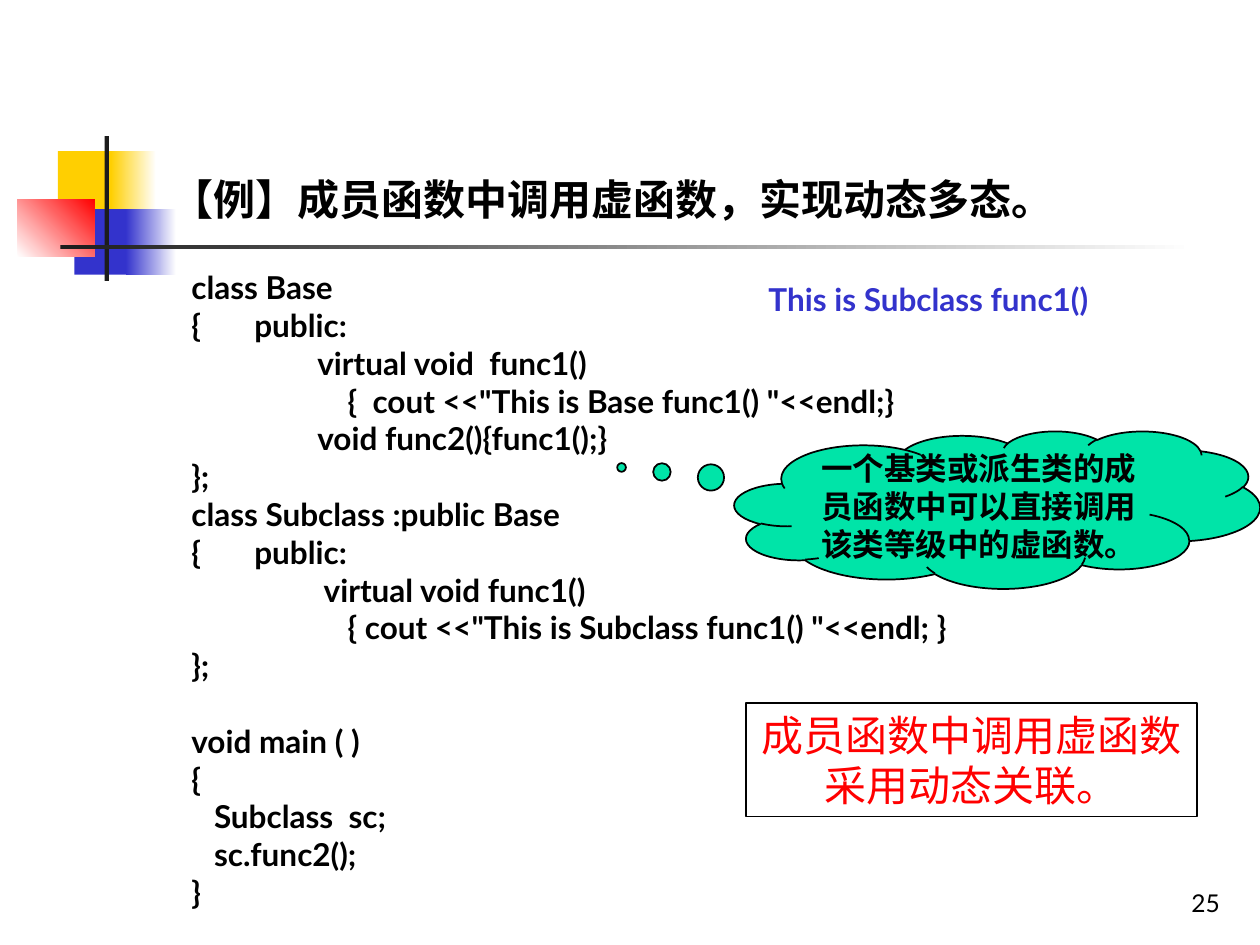
import pptx
import pptx.dml.color
import pptx.enum.shapes
import pptx.enum.text
import pptx.oxml.ns
import pptx.util
from lxml import etree

SHAPE = pptx.enum.shapes.MSO_SHAPE
ALIGN = pptx.enum.text.PP_ALIGN
ANCHOR = pptx.enum.text.MSO_ANCHOR

COLUMNS, ROWS = 100, 75
BLACK, WHITE, BLUE, RED = "000000", "FFFFFF", "3333CC", "FF0000"
YELLOW, CHARCOAL, GREEN = "FFCF01", "1C1C1C", "00E4A8"

LINE_HEIGHT = 21.6  # points, for 18 point text
TAB = 3.8           # columns from "{" to "public:"
MEMBER, BODY, STATEMENT = 10, 12.4, 1.8  # code indents, in columns

# Each line of code: indent in columns, text, points of space before
CODE = [
    (0, "class Base", 0),
    (0, "{\tpublic:", 0),
    (MEMBER, "virtual void  func1()", 0),
    (BODY, '{  cout <<"This is Base func1() "<<endl;}', 0),
    (MEMBER, "void func2(){func1();}", 0),
    (0, "};", 0),
    (0, "class Subclass :public Base", 0),
    (0, "{\tpublic:", 0),
    (MEMBER + 0.5, "virtual void func1()", 0),
    (BODY, '{ cout <<"This is Subclass func1() "<<endl; }', 0),
    (0, "};", 0),
    (0, "void main ( )", LINE_HEIGHT),
    (0, "{", 0),
    (STATEMENT, "Subclass  sc;", 0),
    (STATEMENT, "sc.func2();", 0),
    (0, "}", 0),
]


def colour(value):
    return pptx.dml.color.RGBColor.from_string(value)


def write(para, text, size=18, color=BLACK, bold=False, align=ALIGN.LEFT, before=0):
    para.alignment = align
    para.space_before = pptx.util.Pt(before)
    span = para.add_run()
    span.text = text
    span.font.name = "Lato"
    span.font.size = pptx.util.Pt(size)
    span.font.bold = bold
    span.font.color.rgb = colour(color)


class Page:
    """Holds the current slide; all lengths are grid columns and rows."""

    def __init__(self, deck):
        self.cell_width = deck.slide_width / COLUMNS
        self.cell_height = deck.slide_height / ROWS
        self.slide = deck.slides.add_slide(deck.slide_layouts[5])

    def area(self, left, top, width, height):
        return (round(left * self.cell_width), round(top * self.cell_height),
                round(width * self.cell_width), round(height * self.cell_height))

    def title(self, place, text, **style):
        box = self.slide.shapes.title
        box.left, box.top, box.width, box.height = self.area(*place)
        frame = box.text_frame
        frame.auto_size = pptx.enum.text.MSO_AUTO_SIZE.NONE
        frame.vertical_anchor = ANCHOR.BOTTOM
        write(frame.paragraphs[0], text, **style)

    def frame(self, place, anchor=ANCHOR.TOP):
        frame = self.slide.shapes.add_textbox(*self.area(*place)).text_frame
        frame.word_wrap = True
        frame.vertical_anchor = anchor
        return frame

    def label(self, place, text, anchor=ANCHOR.TOP, **style):
        write(self.frame(place, anchor).paragraphs[0], text, **style)

    def code(self, place, lines):
        frame = self.frame(place)
        for number, (indent, text, before) in enumerate(lines):
            para = frame.add_paragraph() if number else frame.paragraphs[0]
            write(para, text, bold=True, before=before)
            self.indent(para, indent, "\t" in text)

    def indent(self, para, columns, has_tab):
        qn = pptx.oxml.ns.qn
        properties = para._p.get_or_add_pPr()
        properties.set("marL", str(round(columns * self.cell_width)))
        properties.set("indent", "0")
        if has_tab:
            stops = etree.SubElement(properties, qn("a:tabLst"))
            etree.SubElement(stops, qn("a:tab"),
                             pos=str(round(TAB * self.cell_width)), algn="l")

    def shape(self, place, kind=SHAPE.RECTANGLE, fill=None, fade=None, angle=0, line=None):
        """Draw a preset shape; fade is the second colour of a gradient."""
        shape = self.slide.shapes.add_shape(kind, *self.area(*place))
        shape.shadow.inherit = False
        if fade:
            shape.fill.gradient()
            shape.fill.gradient_angle = angle
            for stop, value in zip(shape.fill.gradient_stops, (fill, fade)):
                stop.color.rgb = colour(value)
        elif fill:
            shape.fill.solid()
            shape.fill.fore_color.rgb = colour(fill)
        else:
            shape.fill.background()
        if line:
            shape.line.color.rgb = colour(line)
            shape.line.width = pptx.util.Pt(1)
        else:
            shape.line.fill.background()
        return shape

    def note(self, place, text, kind=SHAPE.RECTANGLE, fill=None, anchor=ANCHOR.TOP, **style):
        """Draw an outlined shape with centred text."""
        shape = self.shape(place, kind, fill, line=BLACK)
        shape.text_frame.word_wrap = True
        shape.text_frame.vertical_anchor = anchor
        write(shape.text_frame.paragraphs[0], text, align=ALIGN.CENTER, **style)
        return shape

    def ornament(self):
        """Draw the coloured squares and the crossing rules beside the title."""
        self.shape((4.6, 12, 4.8, 5.2), fill=YELLOW)
        self.shape((8.8, 12, 3.6, 5.2), fill=YELLOW, fade=WHITE)
        self.shape((5.9, 16.6, 4.6, 5.2), fill=BLUE)
        self.shape((10, 16.6, 4, 5.2), fill=BLUE, fade=WHITE)
        self.shape((1.4, 15.8, 6.1, 4.6), fill=WHITE, fade=RED, angle=45)
        self.shape((8.3, 10.8, 0.35, 11.5), fill=CHARCOAL)
        self.shape((4.8, 19.45, 90, 0.35), fill=CHARCOAL, fade=WHITE)


def main():
    deck = pptx.Presentation()
    deck.slide_width = pptx.util.Inches(10)
    deck.slide_height = pptx.util.Inches(7.5)
    page = Page(deck)
    page.ornament()
    page.label((77, 68.3, 20.8, 5), "25", anchor=ANCHOR.BOTTOM, size=14, align=ALIGN.RIGHT)
    page.title((12.6, 2.3, 85.2, 16), "【例】成员函数中调用虚函数，实现动态多态。", size=24, bold=True)
    page.code((14.2, 20.8, 75.8, 52), CODE)
    cloud = page.note((58.3, 34.2, 41.7, 12.5),
                      "一个基类或派生类的成员函数中可以直接调用该类等级中的虚函数。",
                      kind=SHAPE.CLOUD_CALLOUT, fill=GREEN, anchor=ANCHOR.MIDDLE, bold=True)
    cloud.adjustments[0] = -0.715
    cloud.adjustments[1] = -0.268
    page.label((60, 21.7, 36.8, 4), "This is Subclass func1()", color=BLUE, bold=True)
    page.note((59.2, 55.8, 35.8, 9), "成员函数中调用虚函数采用动态关联。", size=24, color=RED)
    deck.save("out.pptx")


if __name__ == "__main__":
    main()
